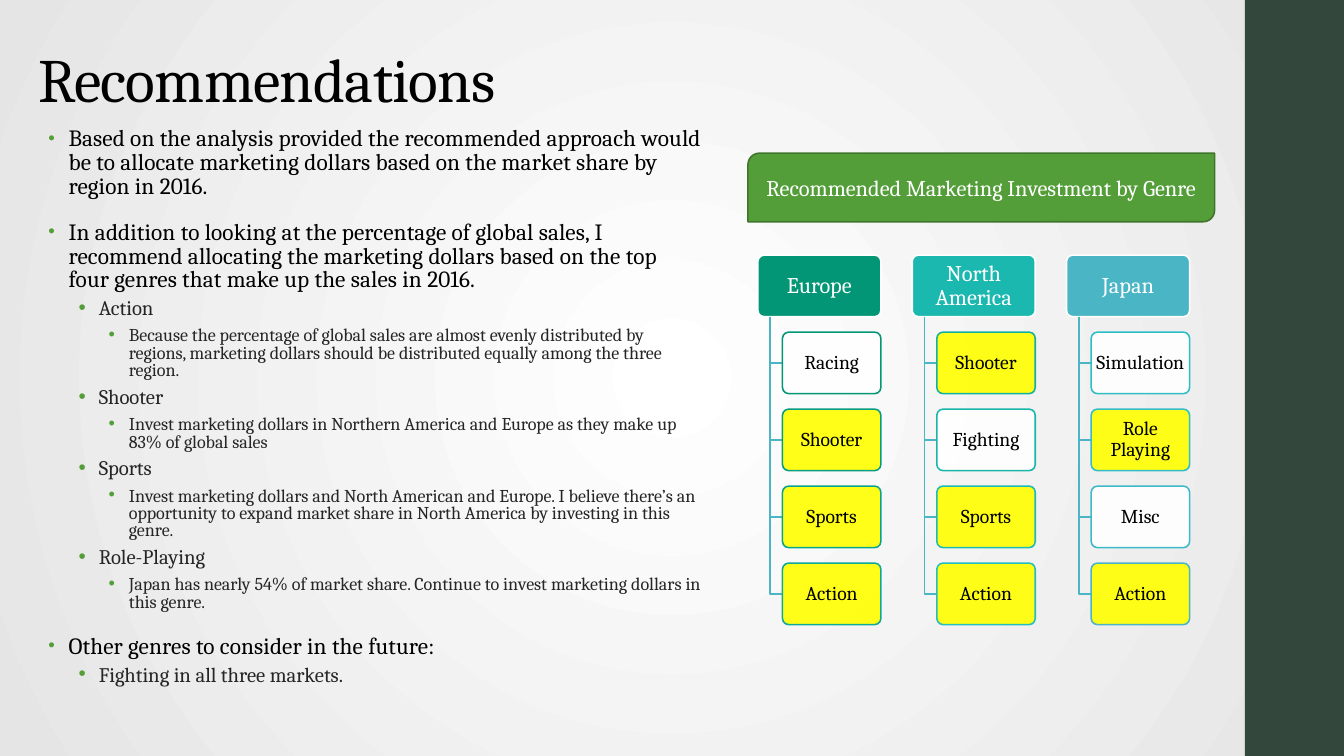
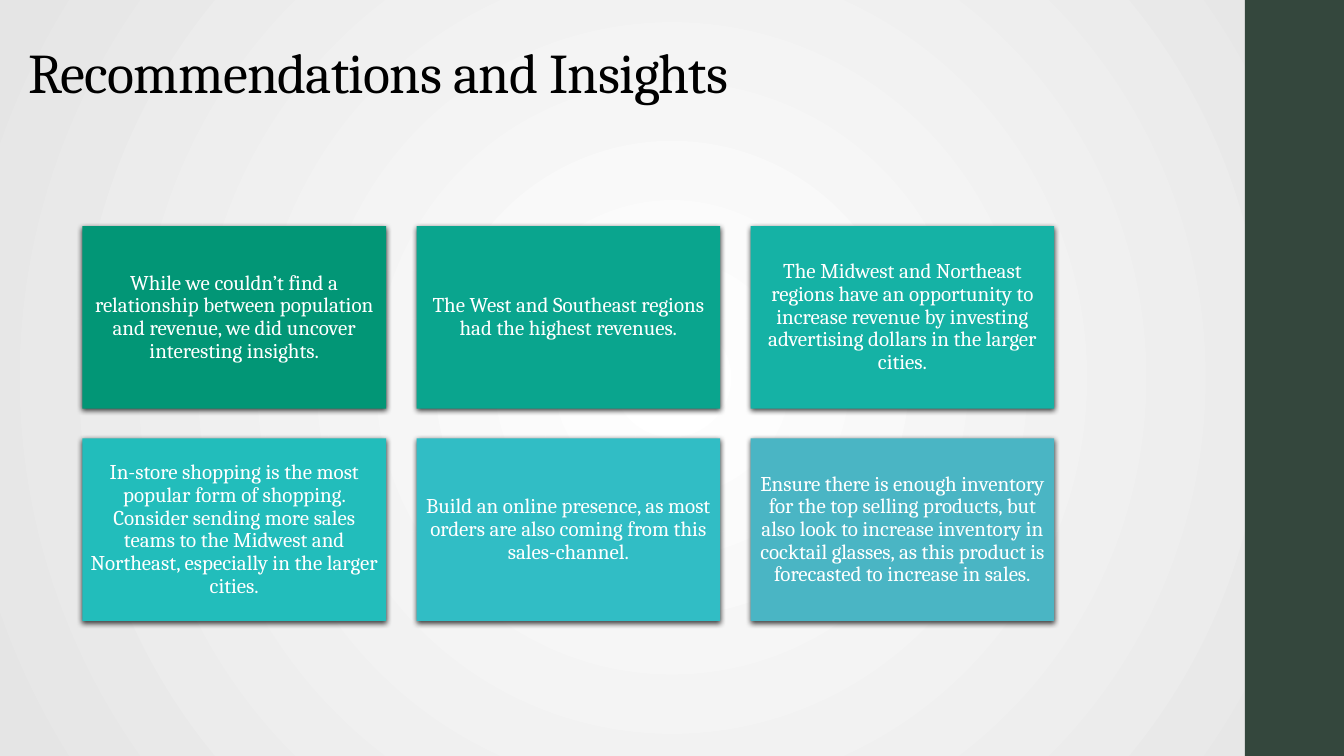
"""Build two slides of marketing recommendations."""
from lxml.etree import SubElement
from pptx import Presentation
from pptx.dml.color import RGBColor
from pptx.enum.shapes import MSO_SHAPE
from pptx.enum.text import MSO_ANCHOR, PP_ALIGN
from pptx.oxml.ns import qn
from pptx.util import Cm, Pt

FONT = "Cambria"
BLACK, WHITE, GREY = "000000", "FFFFFF", "262626"
GREEN, DARK_GREEN, BAND = "549E39", "3E752A", "34473D"
YELLOW, BRANCH = "FFFF00", "4AB5C4"
SLIDE_WIDTH, SLIDE_HEIGHT, BAND_LEFT = 33.87, 19.05, 31.37

LEVELS = [
    {"size": 16.6, "color": BLACK, "tracking": 0.1, "line": 0.85,
     "before": 14, "after": 2, "indent": 0.51, "bullet": 80},
    {"size": 14.8, "color": GREY, "tracking": 0, "line": 0.8,
     "before": 3, "after": 3, "indent": 1.27, "bullet": 100},
    {"size": 12.9, "color": GREY, "tracking": 0, "line": 0.8,
     "before": 3, "after": 3, "indent": 2.03, "bullet": 100},
]
RECOMMENDATIONS = [
    (0, "Based on the analysis provided the recommended approach would be to allocate "
        "marketing dollars based on the market share by region in 2016."),
    (0, "In addition to looking at the percentage of global sales, I recommend allocating "
        "the marketing dollars based on the top four genres that make up the sales in 2016."),
    (1, "Action"),
    (2, "Because the percentage of global sales are almost evenly distributed by regions, "
        "marketing dollars should be distributed equally among the three region."),
    (1, "Shooter"),
    (2, "Invest marketing dollars in Northern America and Europe as they make up 83% of "
        "global sales"),
    (1, "Sports"),
    (2, "Invest marketing dollars and North American and Europe. I believe there’s an "
        "opportunity to expand market share in North America by investing in this genre."),
    (1, "Role-Playing"),
    (2, "Japan has nearly 54% of market share. Continue to invest marketing dollars in "
        "this genre."),
    (0, "Other genres to consider in the future:"),
    (1, "Fighting in all three markets."),
]
TOP_GENRES = {"Action", "Shooter", "Sports", "Role Playing"}
REGIONS = [
    ("Europe", "029676", [("Racing", "029676"), ("Shooter", "069D81"),
                          ("Sports", "0AA48C"), ("Action", "0EAA97")]),
    ("North America", "1BB8B0", [("Shooter", "13B0A1"), ("Fighting", "18B5AB"),
                                 ("Sports", "1EBAB5"), ("Action", "25BEBE")]),
    ("Japan", "4AB5C4", [("Simulation", "2BBEC2"), ("Role Playing", "33BDC6"),
                         ("Misc", "3DBAC7"), ("Action", "4AB5C4")]),
]
INSIGHTS = [
    ("029676", "While we couldn’t find a relationship between population and revenue, "
               "we did uncover interesting insights."),
    ("0AA58E", "The West and Southeast regions had the highest revenues."),
    ("15B2A5", "The Midwest and Northeast regions have an opportunity to increase revenue "
               "by investing advertising dollars in the larger cities."),
    ("22BDBB", "In-store shopping is the most popular form of shopping. Consider sending "
               "more sales teams to the Midwest and Northeast, especially in the larger cities."),
    ("31BDC5", "Build an online presence, as most orders are also coming from this "
               "sales-channel."),
    ("4AB5C4", "Ensure there is enough inventory for the top selling products, but also "
               "look to increase inventory in cocktail glasses, as this product is "
               "forecasted to increase in sales."),
]


def rgb(color):
    """Turn a hex string into a colour."""
    return RGBColor.from_string(color)


def write(paragraph, text, size, color, line=0.9, tracking=0):
    """Fill a paragraph with text in the shared font."""
    paragraph.text = text
    paragraph.line_spacing = line
    font = paragraph.font
    font.name, font.size = FONT, Pt(size)
    font.color.rgb = rgb(color)
    if tracking:
        properties = paragraph._p.get_or_add_pPr().find(qn("a:defRPr"))
        properties.set("spc", str(round(tracking * 100)))


def add_bullet(paragraph, indent, percent):
    """Give a paragraph a green bullet and a hanging indent."""
    properties = paragraph._p.get_or_add_pPr()
    properties.set("marL", str(Cm(indent)))
    properties.set("indent", str(-Cm(0.51)))
    color = SubElement(properties, qn("a:buClr"))
    SubElement(color, qn("a:srgbClr"), val=GREEN)
    SubElement(properties, qn("a:buSzPct"), val=str(percent * 1000))
    SubElement(properties, qn("a:buFont"), typeface="Arial")
    SubElement(properties, qn("a:buChar"), char="•")


def add_text_box(slide, left, top, width, height, anchor):
    """Add a wrapping text box and return its text frame."""
    box = slide.shapes.add_textbox(Cm(left), Cm(top), Cm(width), Cm(height))
    frame = box.text_frame
    frame.word_wrap = True
    frame.vertical_anchor = anchor
    return frame


def add_block(slide, kind, box, fill, outline=None):
    """Add a filled preset shape without a shadow."""
    shape = slide.shapes.add_shape(kind, *map(Cm, box))
    shape.shadow.inherit = False
    shape.fill.solid()
    shape.fill.fore_color.rgb = rgb(fill)
    if outline:
        shape.line.color.rgb = rgb(outline)
        shape.line.width = Pt(1.1)
    else:
        shape.line.fill.background()
    return shape


def label(shape, text, size, color=WHITE, margins=(0.25, 0.13), line=0.9):
    """Centre text inside a shape."""
    frame = shape.text_frame
    frame.word_wrap = True
    frame.vertical_anchor = MSO_ANCHOR.MIDDLE
    frame.margin_left = frame.margin_right = Cm(margins[0])
    frame.margin_top = frame.margin_bottom = Cm(margins[1])
    paragraph = frame.paragraphs[0]
    paragraph.alignment = PP_ALIGN.CENTER
    write(paragraph, text, size, color, line)


def make_translucent(shape, percent):
    """Set the opacity of a solid fill."""
    color = shape.element.spPr.find(qn("a:solidFill")).find(qn("a:srgbClr"))
    SubElement(color, qn("a:alpha"), val=str(percent * 1000))


def add_soft_shadow(shape):
    """Put a blurred shadow below a shape."""
    effects = shape.element.spPr.find(qn("a:effectLst"))
    shadow = SubElement(effects, qn("a:outerShdw"), blurRad=str(Pt(4)), dist=str(Pt(1.2)),
                        dir="5400000", algn="ctr", rotWithShape="0")
    color = SubElement(shadow, qn("a:srgbClr"), val=BLACK)
    SubElement(color, qn("a:alpha"), val="75000")


def set_background(master):
    """Give every slide a radial gradient."""
    fill = master.background.fill
    fill.gradient()
    for stop, color in zip(fill.gradient_stops, (WHITE, "E5E5E5")):
        stop.color.rgb = rgb(color)
    gradient = master.element.find(".//" + qn("a:gradFill"))
    gradient.remove(gradient.find(qn("a:lin")))
    radial = SubElement(gradient, qn("a:path"), {"path": "circle"})
    SubElement(radial, qn("a:fillToRect"), dict.fromkeys("ltrb", "100000"))


def add_titled_slide(presentation, title, size, box):
    """Add a blank slide with the side band and a title."""
    slide = presentation.slides.add_slide(presentation.slide_layouts[6])
    band = (BAND_LEFT, 0, SLIDE_WIDTH - BAND_LEFT, SLIDE_HEIGHT)
    add_block(slide, MSO_SHAPE.RECTANGLE, band, BAND)
    frame = add_text_box(slide, *box, MSO_ANCHOR.BOTTOM)
    write(frame.paragraphs[0], title, size, BLACK, tracking=-0.5)
    return slide


def add_outline(slide, items):
    """Add the bulleted recommendations."""
    frame = add_text_box(slide, 0.97, 3.1, 17, 15, MSO_ANCHOR.TOP)
    for index, (level, text) in enumerate(items):
        style = LEVELS[level]
        paragraph = frame.add_paragraph() if index else frame.paragraphs[0]
        paragraph.level = level
        add_bullet(paragraph, style["indent"], style["bullet"])
        paragraph.space_before = Pt(style["before"] if index else 0)
        paragraph.space_after = Pt(style["after"])
        write(paragraph, text, style["size"], style["color"], style["line"], style["tracking"])


def add_branch(slide, left, top, right, bottom):
    """Draw an angled line from a region down to a genre."""
    builder = slide.shapes.build_freeform(Cm(left), Cm(top))
    builder.add_line_segments([(Cm(left), Cm(bottom)), (Cm(right), Cm(bottom))], close=False)
    branch = builder.convert_to_shape()
    branch.shadow.inherit = False
    branch.fill.background()
    branch.line.color.rgb = rgb(BRANCH)
    branch.line.width = Pt(1.1)


def add_node(slide, box, text, size, fill, outline, color):
    """Add a rounded box of the region tree."""
    node = add_block(slide, MSO_SHAPE.ROUNDED_RECTANGLE, box, fill, outline)
    node.adjustments[0] = 0.1
    label(node, text, size, color, (0.08, 0.05))
    return node


def add_region_tree(slide, regions):
    """Lay out each region above its genres."""
    top, width, height, row_step, indent = 6.43, 3.1, 1.55, 1.94, 0.62
    for column, (region, region_color, genres) in enumerate(regions):
        left = 19.1 + column * 3.89
        add_node(slide, (left, top, width, height), region, 16, region_color, WHITE, WHITE)
        for row, (genre, outline) in enumerate(genres, 1):
            genre_top = top + row * row_step
            add_branch(slide, left + indent / 2, top + height,
                       left + indent, genre_top + height / 2)
            fill = YELLOW if genre in TOP_GENRES else WHITE
            box = (left + indent, genre_top, width - indent, height)
            make_translucent(add_node(slide, box, genre, 14, fill, outline, BLACK), 90)


def add_insight_cards(slide, insights):
    """Place the insights in a grid of three columns."""
    for index, (color, text) in enumerate(insights):
        row, column = divmod(index, 3)
        box = (2.08 + column * 8.42, 5.7 + row * 5.35, 7.65, 4.6)
        card = add_block(slide, MSO_SHAPE.RECTANGLE, box, color)
        add_soft_shadow(card)
        label(card, text, 15, margins=(0.15, 0.15))


def main():
    """Build and save the presentation."""
    presentation = Presentation()
    presentation.slide_width, presentation.slide_height = Cm(SLIDE_WIDTH), Cm(SLIDE_HEIGHT)
    set_background(presentation.slide_master)

    slide = add_titled_slide(presentation, "Recommendations", 44, (0.71, 0.36, 27.84, 2.69))
    add_outline(slide, RECOMMENDATIONS)
    add_region_tree(slide, REGIONS)
    banner = add_block(slide, MSO_SHAPE.ROUND_2_DIAG_RECTANGLE, (18.85, 3.86, 11.76, 1.73),
                       GREEN, DARK_GREEN)
    label(banner, "Recommended Marketing Investment by Genre", 16, line=1.0)

    slide = add_titled_slide(presentation, "Recommendations and Insights", 40,
                             (0.46, 0.28, 25.22, 2.51))
    add_insight_cards(slide, INSIGHTS)
    presentation.save("out.pptx")


if __name__ == "__main__":
    main()
